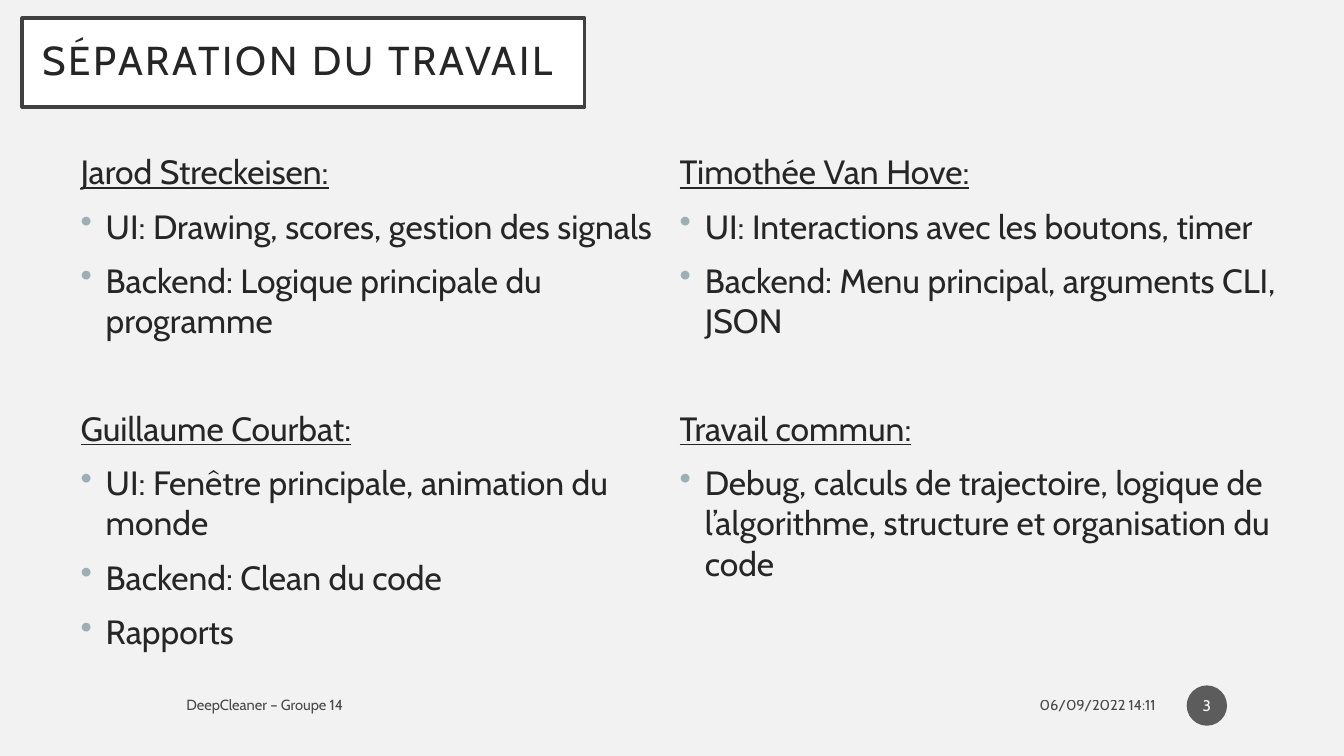
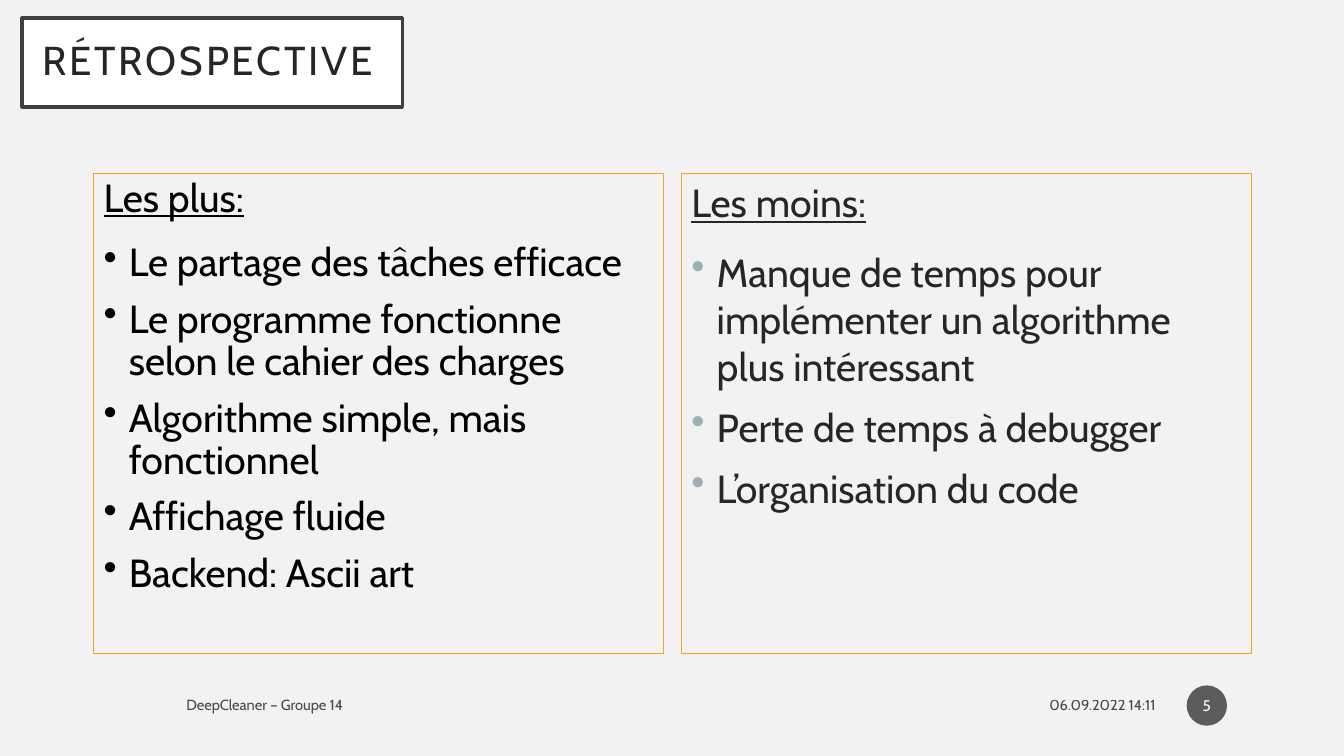
import dataclasses
import typing

import lxml.etree
import pptx
import pptx.dml.color
import pptx.enum.shapes
import pptx.enum.text
import pptx.oxml.ns
import pptx.shapes.autoshape
import pptx.slide
import pptx.text.text
import pptx.util

Inches = pptx.util.Inches
Pt = pptx.util.Pt
Shape = pptx.shapes.autoshape.Shape
Align = pptx.enum.text.PP_ALIGN
Anchor = pptx.enum.text.MSO_ANCHOR
Kind = pptx.enum.shapes.MSO_SHAPE
qn = pptx.oxml.ns.qn


@dataclasses.dataclass(frozen=True)
class Theme:
    """Colours, font and type sizes of the whole deck."""
    font: str = "Cabin"
    background: str = "F2F2F2"
    ink: str = "262626"
    black: str = "000000"
    white: str = "FFFFFF"
    title_border: str = "404040"
    panel_border: str = "F6A21D"
    bullet: str = "9BAFB5"
    badge: str = "1D1D1D"
    opacity: int = 70
    title_size: float = 28.8
    task_size: float = 24
    review_size: float = 28
    footer_size: float = 10.5
    badge_size: float = 11


THEME = Theme()


class Box(typing.NamedTuple):
    """Left, top, width and height in inches."""
    left: float
    top: float
    width: float
    height: float

    def lengths(self) -> list[pptx.util.Length]:
        """Return the four values as lengths."""
        return [Inches(value) for value in self]


@dataclasses.dataclass(frozen=True)
class Topic:
    """An underlined heading followed by bullet points."""
    heading: str
    points: tuple[str, ...]
    gap_before: float = 10


@dataclasses.dataclass(frozen=True)
class ListStyle:
    """Look of a list of topics."""
    size: float
    color: str = THEME.ink
    bullet_color: str | None = THEME.bullet
    line_spacing: float | None = None
    heading_gap: float | None = None


@dataclasses.dataclass(frozen=True)
class Page:
    """What the title and footer show on one slide."""
    title: str
    title_width: float
    date: str
    number: str


FOOTER = "DeepCleaner – Groupe 14"
POINT_GAP = 10
SECOND_ROW_GAP = 48
HANGING = Inches(0.25)
PANEL_LEFT, PANEL_WIDTH, PANEL_GUTTER = 0.93, 5.65, 0.18

TASK_STYLE = ListStyle(THEME.task_size)
PLUS_STYLE = ListStyle(THEME.review_size, THEME.black, None, 0.9, 6)
MINUS_STYLE = ListStyle(THEME.review_size, heading_gap=6)

TASKS = (
    Topic("Jarod Streckeisen:", (
        "UI: Drawing, scores, gestion des signals",
        "Backend: Logique principale du programme")),
    Topic("Guillaume Courbat:", (
        "UI: Fenêtre principale, animation du monde",
        "Backend: Clean du code",
        "Rapports"), SECOND_ROW_GAP),
    Topic("Timothée Van Hove:", (
        "UI: Interactions avec les boutons, timer",
        "Backend: Menu principal, arguments CLI, JSON")),
    Topic("Travail commun:", (
        "Debug, calculs de trajectoire, logique de l’algorithme, "
        "structure et organisation du code",), SECOND_ROW_GAP),
)
REVIEWS = (
    (Topic("Les plus:", (
        "Le partage des tâches efficace",
        "Le programme fonctionne selon le cahier des charges",
        "Algorithme simple, mais fonctionnel",
        "Affichage fluide",
        "Backend: Ascii art")), PLUS_STYLE),
    (Topic("Les moins:", (
        "Manque de temps pour implémenter un algorithme plus intéressant",
        "Perte de temps à debugger",
        "L’organisation du code")), MINUS_STYLE),
)


def rgb(color: str) -> pptx.dml.color.RGBColor:
    """Turn a hex string into a colour."""
    return pptx.dml.color.RGBColor.from_string(color)


def apply(target: typing.Any, values: dict[str, typing.Any]) -> None:
    """Set every named attribute on the target."""
    for name, value in values.items():
        setattr(target, name, value)


def set_frame(shape: Shape, anchor: Anchor, side: float = 0.1,
              edge: float = 0.05) -> None:
    """Set wrapping, anchor and insets of a shape's text."""
    apply(shape.text_frame, {
        "word_wrap": True, "auto_size": pptx.enum.text.MSO_AUTO_SIZE.NONE,
        "vertical_anchor": anchor,
        "margin_left": Inches(side), "margin_right": Inches(side),
        "margin_top": Inches(edge), "margin_bottom": Inches(edge)})


def write(paragraph: pptx.text.text._Paragraph, text: str, size: float,
          color: str, underline: bool = False,
          **layout: typing.Any) -> pptx.text.text._Run:
    """Add one formatted run and set the paragraph's layout."""
    apply(paragraph, {"alignment": Align.LEFT, **layout})
    run = paragraph.add_run()
    run.text = text
    apply(run.font, {"name": THEME.font, "size": Pt(size),
                     "underline": underline})
    run.font.color.rgb = rgb(color)
    return run


def make_translucent(shape: Shape) -> None:
    """Give the colours set so far on a shape the theme's opacity."""
    for color in shape.element.iter(qn("a:srgbClr")):
        lxml.etree.SubElement(color, qn("a:alpha"),
                              val=str(THEME.opacity * 1000))


def add_bullet(paragraph: pptx.text.text._Paragraph,
               color: str | None) -> None:
    """Give a paragraph a hanging bullet."""
    properties = paragraph._p.get_or_add_pPr()
    properties.set("marL", str(HANGING))
    properties.set("indent", str(-HANGING))
    if color:
        holder = lxml.etree.SubElement(properties, qn("a:buClr"))
        lxml.etree.SubElement(holder, qn("a:srgbClr"), val=color)
    lxml.etree.SubElement(properties, qn("a:buChar"), char="•")


def fill_topics(shape: Shape, topics: typing.Sequence[Topic],
                style: ListStyle) -> None:
    """Write headings and their bullet points into a shape."""
    set_frame(shape, Anchor.TOP)
    frame = shape.text_frame
    for order, topic in enumerate(topics):
        heading = frame.add_paragraph() if order else frame.paragraphs[0]
        spacing = {"line_spacing": style.line_spacing}
        after = style.heading_gap
        write(heading, topic.heading, style.size, style.color, True,
              space_before=Pt(topic.gap_before),
              space_after=None if after is None else Pt(after), **spacing)
        for point in topic.points:
            paragraph = frame.add_paragraph()
            write(paragraph, point, style.size, style.color,
                  space_before=Pt(POINT_GAP), **spacing)
            add_bullet(paragraph, style.bullet_color)


def add_title(slide: pptx.slide.Slide, page: Page) -> None:
    """Frame the title placeholder and write the title."""
    title = slide.shapes.title
    box = Box(0.22, 0.18, page.title_width, 0.88)
    apply(title, dict(zip(("left", "top", "width", "height"), box.lengths())))
    title.fill.solid()
    title.fill.fore_color.rgb = rgb(THEME.white)
    title.line.color.rgb = rgb(THEME.title_border)
    title.line.width = Pt(2.5)
    set_frame(title, Anchor.MIDDLE, 0.2, 0.2)
    run = write(title.text_frame.paragraphs[0], page.title, THEME.title_size,
                THEME.ink, line_spacing=0.9)
    run.font._element.set("spc", "200")


def add_footer(slide: pptx.slide.Slide, page: Page) -> None:
    """Add the date, the group name and the round page number."""
    for text, box, alignment in (
            (page.date, Box(8.55, 6.82, 3.01, 0.35), Align.RIGHT),
            (FOOTER, Box(1.75, 6.82, 6.45, 0.35), Align.LEFT)):
        label = slide.shapes.add_textbox(*box.lengths())
        set_frame(label, Anchor.MIDDLE)
        write(label.text_frame.paragraphs[0], text, THEME.footer_size,
              THEME.black, alignment=alignment)
        make_translucent(label)

    badge = slide.shapes.add_shape(
        Kind.OVAL, *Box(11.77, 6.8, 0.4, 0.4).lengths())
    badge.shadow.inherit = False
    badge.fill.solid()
    badge.fill.fore_color.rgb = rgb(THEME.badge)
    badge.line.fill.background()
    make_translucent(badge)
    set_frame(badge, Anchor.MIDDLE, 0.02)
    write(badge.text_frame.paragraphs[0], page.number, THEME.badge_size,
          THEME.white, alignment=Align.CENTER)


def add_page(deck: pptx.presentation.Presentation,
             page: Page) -> pptx.slide.Slide:
    """Add a slide with its title and footer."""
    slide = deck.slides.add_slide(deck.slide_layouts.get_by_name("Title Only"))
    add_title(slide, page)
    add_footer(slide, page)
    return slide


def add_tasks(slide: pptx.slide.Slide) -> None:
    """Show who did what in one two-column text."""
    tasks = slide.shapes.add_textbox(*Box(0.7, 1.45, 12.08, 5.15).lengths())
    fill_topics(tasks, TASKS, TASK_STYLE)
    tasks.text_frame._txBody.bodyPr.set("numCol", "2")


def add_reviews(slide: pptx.slide.Slide) -> None:
    """Show the good and bad points in two framed panels."""
    for column, (topic, style) in enumerate(REVIEWS):
        left = PANEL_LEFT + column * (PANEL_WIDTH + PANEL_GUTTER)
        panel = slide.shapes.add_shape(
            Kind.RECTANGLE, *Box(left, 1.72, PANEL_WIDTH, 4.76).lengths())
        panel.shadow.inherit = False
        panel.fill.background()
        panel.line.color.rgb = rgb(THEME.panel_border)
        panel.line.width = Pt(0.75)
        fill_topics(panel, (topic,), style)


def main() -> None:
    """Build and save the deck."""
    deck = pptx.Presentation()
    apply(deck, {"slide_width": Inches(13.33), "slide_height": Inches(7.5)})
    backdrop = deck.slide_master.background.fill
    backdrop.solid()
    backdrop.fore_color.rgb = rgb(THEME.background)
    add_tasks(add_page(
        deck, Page("SÉPARATION DU TRAVAIL", 5.58, "06/09/2022 14:11", "3")))
    add_reviews(add_page(
        deck, Page("RÉTROSPECTIVE", 3.77, "06.09.2022 14:11", "5")))
    deck.save("out.pptx")


main()
